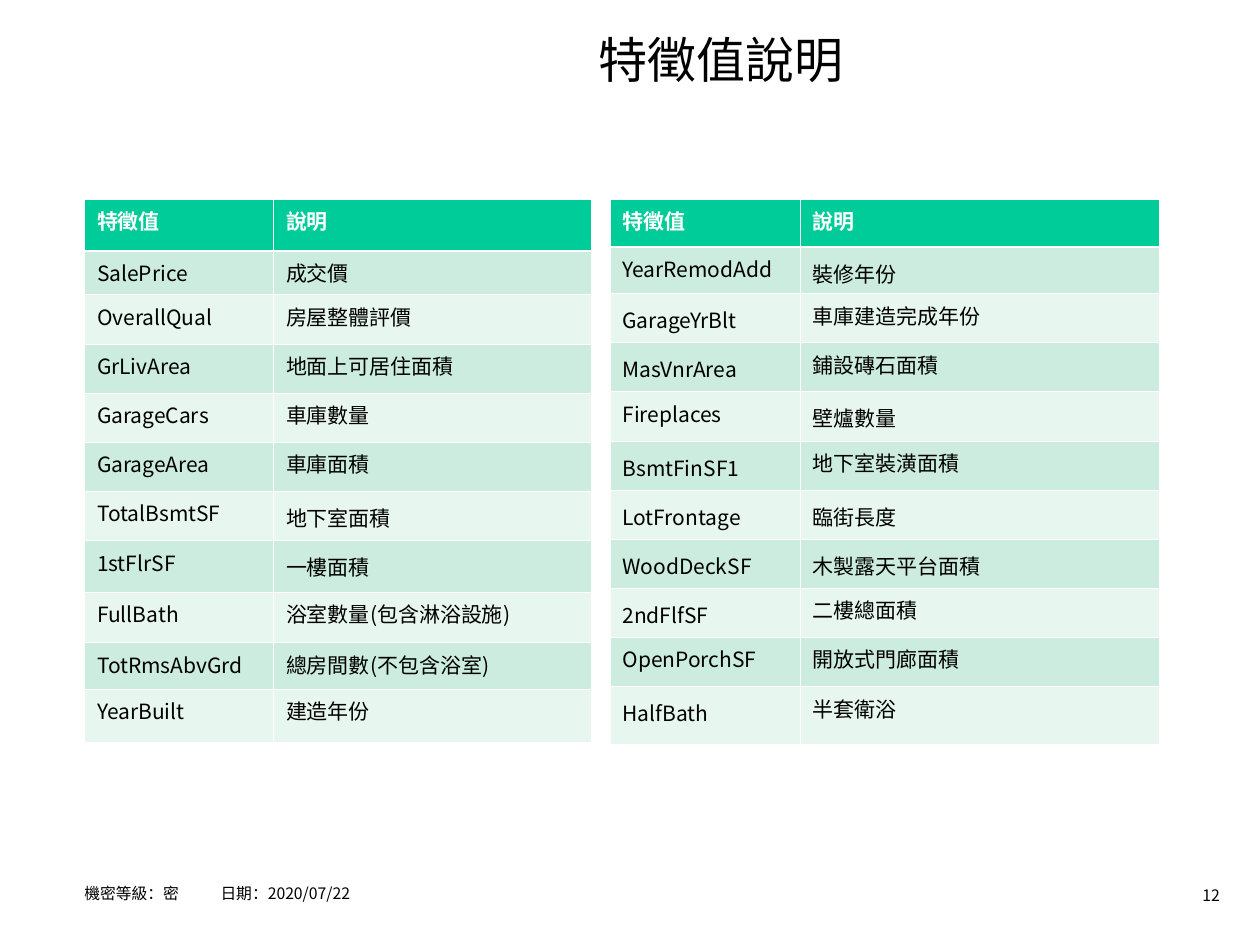
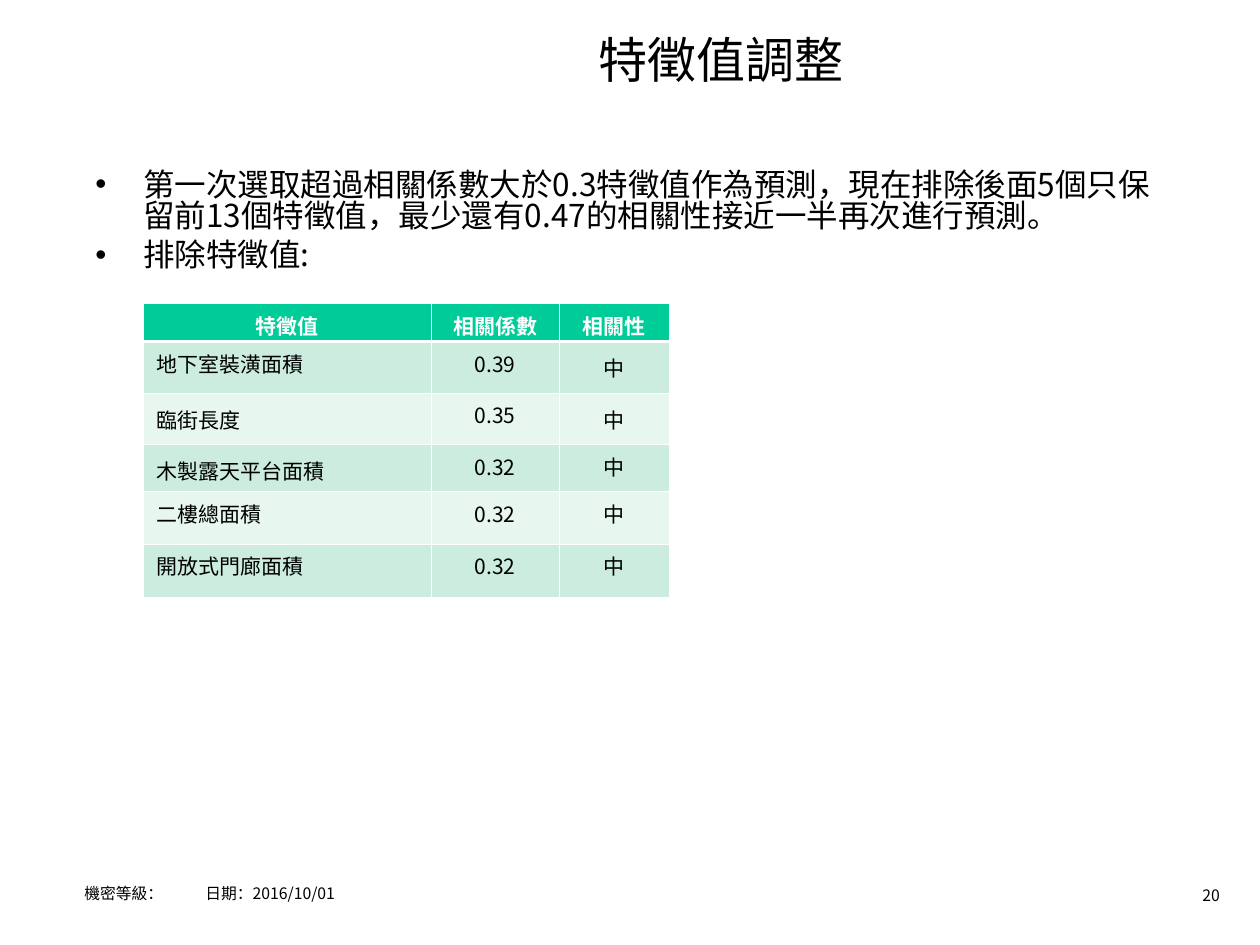
from dataclasses import dataclass

from lxml.etree import SubElement
from pptx import Presentation
from pptx.dml.color import RGBColor
from pptx.enum.text import MSO_ANCHOR as Anchor, PP_ALIGN as Align
from pptx.oxml.ns import qn
from pptx.slide import Slide
from pptx.text.text import TextFrame
from pptx.util import Inches, Pt

FONT = "Noto Sans CJK SC"
COLORS = {
    "text": "000000",
    "header": "00CC99",
    "header_text": "FFFFFF",
    "odd_row": "CBECDE",
    "even_row": "E7F6EF",
    "border": "FFFFFF",
}
THIN, THICK = 0.45, 1.47
LOWERED_SPACING = 1.15
BULLET_INDENT = 0.38


@dataclass(frozen=True)
class Box:
    left: float
    top: float
    width: float
    height: float


TITLE = Box(2.31, 0.17, 6.83, 0.59)
FOOTER = Box(0.67, 6.9, 7.42, 0.31)
PAGE_NUMBER = Box(9.1, 6.98, 0.68, 0.25)
BODY = Box(0.66, 1.31, 8.74, 5.59)


@dataclass(frozen=True)
class FeatureTable:
    left: float
    top: float
    columns: list[float]
    heights: list[float]
    rows: list[tuple[str, ...]]
    lowered: set[tuple[int, int]]  # (row, column) of cells with wider leading
    header_align: Align = Align.LEFT
    value_align: Align = Align.LEFT


# Text
def write_text(frame: TextFrame, *lines: str, size: float = 12,
               color: str = "text", bold: bool = False,
               align: Align = Align.LEFT, leading: float | None = None,
               gap: float = 0, bullet: bool = False,
               tab: float | None = None) -> None:
    for index, line in enumerate(lines):
        paragraph = frame.paragraphs[0] if index == 0 else frame.add_paragraph()
        p_pr = paragraph._p.get_or_add_pPr()
        if bullet:
            indent = Inches(BULLET_INDENT)
            p_pr.set("marL", str(indent))
            p_pr.set("indent", str(-indent))
            SubElement(p_pr, qn("a:buFont"), typeface="Arial")
            SubElement(p_pr, qn("a:buChar"), char="•")
        if tab is not None:
            stops = SubElement(p_pr, qn("a:tabLst"))
            SubElement(stops, qn("a:tab"), pos=str(Inches(tab)), algn="l")
        paragraph.alignment = align
        if leading is not None:
            paragraph.line_spacing = leading
        if index and gap:
            paragraph.space_before = Pt(gap)
        run = paragraph.add_run()
        run.text = line
        run.font.size = Pt(size)
        run.font.bold = bold
        run.font.name = FONT
        run.font.color.rgb = RGBColor.from_string(COLORS[color])
        SubElement(run._r.get_or_add_rPr(), qn("a:ea"), typeface=FONT)


def add_frame(slide: Slide, box: Box, anchor: Anchor = Anchor.MIDDLE,
              left_inset: float = 0.1) -> TextFrame:
    frame = slide.shapes.add_textbox(
        Inches(box.left), Inches(box.top),
        Inches(box.width), Inches(box.height)).text_frame
    frame.word_wrap = True
    frame.vertical_anchor = anchor
    frame.margin_left = Inches(left_inset)
    return frame


# Tables
def add_borders(cell, row: int) -> None:
    widths = {
        "a:lnL": THIN,
        "a:lnR": THIN,
        "a:lnT": THICK if row == 1 else THIN,
        "a:lnB": THICK if row == 0 else THIN,
    }
    for side, width in widths.items():
        line = SubElement(cell._tc.get_or_add_tcPr(), qn(side), w=str(Pt(width)))
        fill = SubElement(line, qn("a:solidFill"))
        SubElement(fill, qn("a:srgbClr"), val=COLORS["border"])


def add_feature_table(slide: Slide, spec_table: FeatureTable) -> None:
    table = slide.shapes.add_table(
        len(spec_table.rows), len(spec_table.columns),
        Inches(spec_table.left), Inches(spec_table.top),
        Inches(sum(spec_table.columns)),
        Inches(sum(spec_table.heights))).table
    for column, width in zip(table.columns, spec_table.columns):
        column.width = Inches(width)
    for row, height in zip(table.rows, spec_table.heights):
        row.height = Inches(height)

    for r, values in enumerate(spec_table.rows):
        is_header = r == 0
        band = "header" if is_header else "odd_row" if r % 2 else "even_row"
        for c, value in enumerate(values):
            cell = table.cell(r, c)
            add_borders(cell, r)
            cell.fill.solid()
            cell.fill.fore_color.rgb = RGBColor.from_string(COLORS[band])
            if is_header:
                align = spec_table.header_align
            else:
                align = spec_table.value_align if c else Align.LEFT
            write_text(cell.text_frame, value, bold=is_header, align=align,
                       color="header_text" if is_header else "text",
                       leading=LOWERED_SPACING
                       if (r, c) in spec_table.lowered else None)


# Shared slide frame
def add_slide(deck, title: str, level: str, date: str, date_tab: float,
              page: int) -> Slide:
    slide = deck.slides.add_slide(deck.slide_layouts[6])
    write_text(add_frame(slide, PAGE_NUMBER), str(page), size=9,
               align=Align.RIGHT)
    write_text(add_frame(slide, TITLE), title, size=28, align=Align.CENTER)
    write_text(add_frame(slide, FOOTER, left_inset=0),
               f"機密等級：{level}\t日期：{date}", size=9, leading=1.5,
               tab=date_tab)
    return slide


# Content
FEATURES_LEFT = FeatureTable(
    left=0.67, top=1.58, columns=[1.5, 2.52],
    heights=[0.41, 0.35, *[0.39] * 5, 0.41, 0.4, 0.37, 0.42],
    rows=[
        ("特徵值", "說明"),
        ("SalePrice", "成交價"),
        ("OverallQual", "房屋整體評價"),
        ("GrLivArea", "地面上可居住面積"),
        ("GarageCars", "車庫數量"),
        ("GarageArea", "車庫面積"),
        ("TotalBsmtSF", "地下室面積"),
        ("1stFlrSF", "一樓面積"),
        ("FullBath", "浴室數量(包含淋浴設施)"),
        ("TotRmsAbvGrd", "總房間數(不包含浴室)"),
        ("YearBuilt", "建造年份"),
    ],
    lowered={(6, 1), (7, 1)},
)
FEATURES_RIGHT = FeatureTable(
    left=4.84, top=1.58, columns=[1.51, 2.85],
    heights=[0.38, 0.37, *[0.39] * 8, 0.46],
    rows=[
        ("特徵值", "說明"),
        ("YearRemodAdd", "裝修年份"),
        ("GarageYrBlt", "車庫建造完成年份"),
        ("MasVnrArea", "鋪設磚石面積"),
        ("Fireplaces", "壁爐數量"),
        ("BsmtFinSF1", "地下室裝潢面積"),
        ("LotFrontage", "臨街長度"),
        ("WoodDeckSF", "木製露天平台面積"),
        ("2ndFlfSF", "二樓總面積"),
        ("OpenPorchSF", "開放式門廊面積"),
        ("HalfBath", "半套衛浴"),
    ],
    lowered={(1, 1), (2, 0), (3, 0), (4, 1), (5, 0), (6, 0), (6, 1),
             (7, 0), (7, 1), (8, 0), (10, 0)},
)
EXCLUDED_FEATURES = FeatureTable(
    left=1.14, top=2.41, columns=[2.28, 1.02, 0.87],
    heights=[0.3, 0.41, 0.41, 0.37, 0.42, 0.42],
    rows=[
        ("特徵值", "相關係數", "相關性"),
        ("地下室裝潢面積", "0.39", "中"),
        ("臨街長度", "0.35", "中"),
        ("木製露天平台面積", "0.32", "中"),
        ("二樓總面積", "0.32", "中"),
        ("開放式門廊面積", "0.32", "中"),
    ],
    lowered={(1, 2), (2, 0), (2, 2), (3, 0)},
    header_align=Align.CENTER, value_align=Align.CENTER,
)
ADJUSTMENTS = (
    "第一次選取超過相關係數大於0.3特徵值作為預測，現在排除後面5個只保留前13個特徵值，"
    "最少還有0.47的相關性接近一半再次進行預測。",
    "排除特徵值:",
)


def main() -> None:
    deck = Presentation()
    deck.slide_width, deck.slide_height = Inches(10), Inches(7.5)

    # Feature descriptions
    descriptions = add_slide(deck, "特徵值說明", "密", "2020/07/22", 1.08, 12)
    for features in (FEATURES_LEFT, FEATURES_RIGHT):
        add_feature_table(descriptions, features)

    # Feature adjustment
    adjustment = add_slide(deck, "特徵值調整", "", "2016/10/01", 0.96, 20)
    write_text(add_frame(adjustment, BODY, anchor=Anchor.TOP), *ADJUSTMENTS,
               size=18, leading=0.83, gap=4.5, bullet=True)
    add_feature_table(adjustment, EXCLUDED_FEATURES)

    deck.save("out.pptx")


if __name__ == "__main__":
    main()
